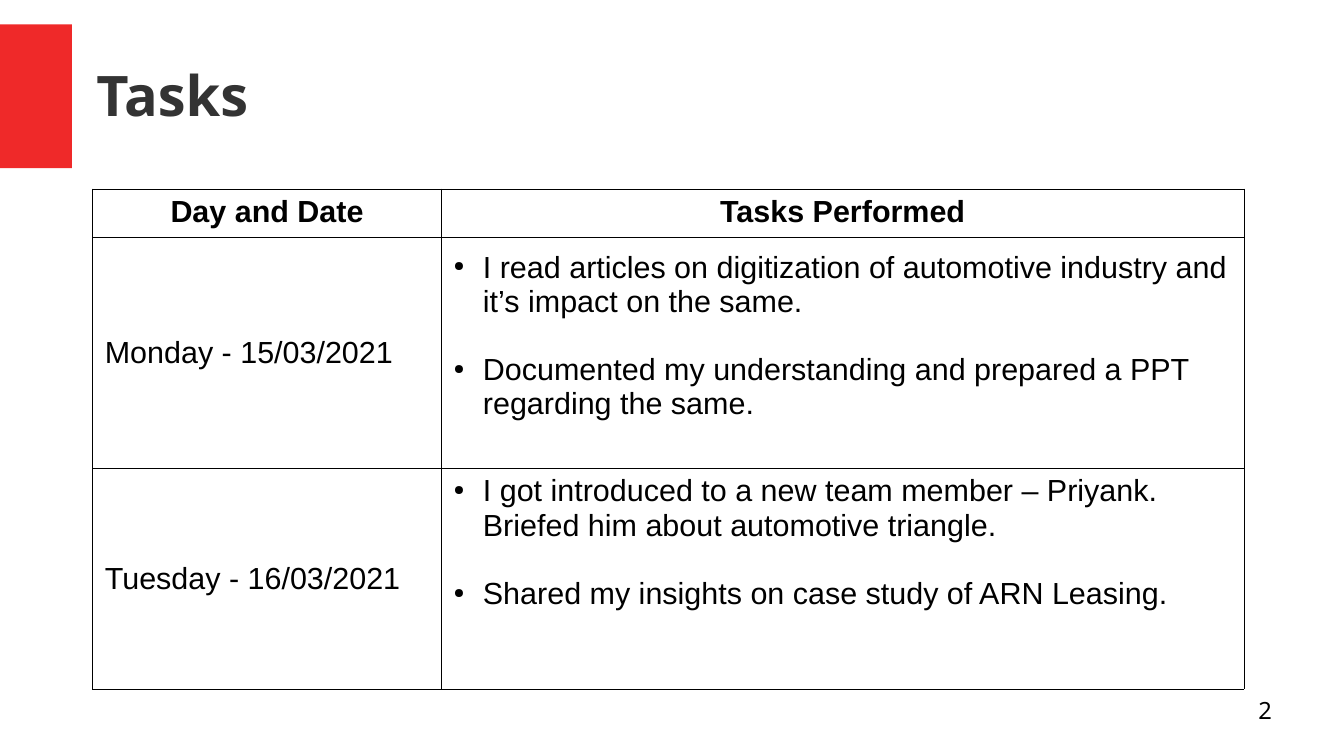
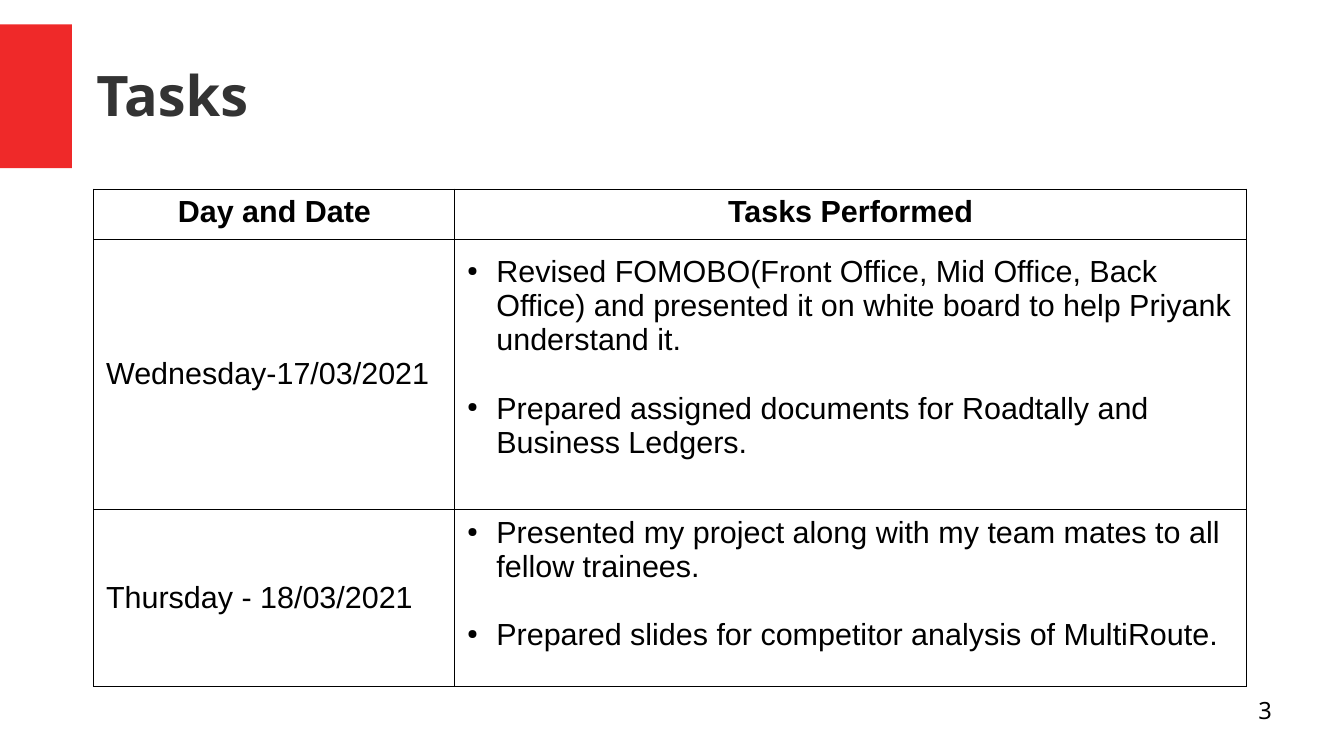
import lxml.etree
import pptx
import pptx.dml.color
import pptx.enum.shapes
import pptx.enum.text
import pptx.oxml.ns
import pptx.util

RED = pptx.dml.color.RGBColor(0xEF, 0x29, 0x29)
CHARCOAL = pptx.dml.color.RGBColor(0x33, 0x33, 0x33)
BLACK = pptx.dml.color.RGBColor(0, 0, 0)
WHITE = pptx.dml.color.RGBColor(0xFF, 0xFF, 0xFF)

Inches = pptx.util.Inches
Pt = pptx.util.Pt
ALIGN = pptx.enum.text.PP_ALIGN
ANCHOR = pptx.enum.text.MSO_ANCHOR

SLIDE_SIZE = (11.02, 6.2)
TITLE = "Tasks"
HEADINGS = ["Day and Date", "Tasks Performed"]
TABLE_TOP = 1.55
CELL_INSETS = (0.1, 0.05, 0.1, 0.05)
LINE_HEIGHT = 0.28
BULLET_INDENT = 0.24

DAY_SLIDES = [
    {
        "number": 2,
        "left": 0.76,
        "columns": [2.86, 6.58],
        "rows": [0.4, 1.89, 1.81],
        "days": [
            ("Monday - 15/03/2021", [
                "I read articles on digitization of automotive industry and it’s impact on the same.",
                "Documented my understanding and prepared a PPT regarding the same.",
            ]),
            ("Tuesday - 16/03/2021", [
                "I got introduced to a new team member – Priyank. Briefed him about automotive triangle.",
                "Shared my insights on case study of ARN Leasing.",
            ]),
        ],
    },
    {
        "number": 3,
        "left": 0.77,
        "columns": [2.96, 6.49],
        "rows": [0.41, 2.22, 1.45],
        "days": [
            ("Wednesday-17/03/2021", [
                "Revised FOMOBO(Front Office, Mid Office, Back Office) and presented it on white board to help Priyank understand it.",
                "Prepared assigned documents for Roadtally and Business Ledgers.",
            ]),
            ("Thursday - 18/03/2021", [
                "Presented my project along with my team mates to all fellow trainees.",
                "Prepared slides for competitor analysis of MultiRoute.",
            ]),
        ],
    },
]


def add_xml(parent, tag, **attributes):
    return lxml.etree.SubElement(parent, pptx.oxml.ns.qn(tag), attributes)


def style_paragraph(paragraph, size, name, color, bold=False, align=ALIGN.LEFT):
    paragraph.alignment = align
    paragraph.font.size = Pt(size)
    paragraph.font.name = name
    paragraph.font.color.rgb = color
    paragraph.font.bold = bold


def set_insets(target, insets):
    sides = ("margin_left", "margin_top", "margin_right", "margin_bottom")
    for side, inset in zip(sides, insets):
        setattr(target, side, Inches(inset))


def add_text(slide, text, box, anchor, **style):
    frame = slide.shapes.add_textbox(*map(Inches, box)).text_frame
    frame.word_wrap = True
    frame.vertical_anchor = anchor
    set_insets(frame, (0, 0, 0, 0))
    frame.text = text
    style_paragraph(frame.paragraphs[0], **style)


def add_frame(slide, number):
    band = slide.shapes.add_shape(
        pptx.enum.shapes.MSO_SHAPE.RECTANGLE, *map(Inches, (0, 0.2, 0.59, 1.18)))
    band.shadow.inherit = False
    band.fill.solid()
    band.fill.fore_color.rgb = RED
    band.line.fill.background()
    add_text(slide, TITLE, (0.79, 0.25, 9.68, 1.04), ANCHOR.MIDDLE,
             size=33, name="Noto Sans", color=CHARCOAL, bold=True)
    add_text(slide, str(number), (7.87, 5.71, 2.56, 0.43), ANCHOR.TOP,
             size=14, name="Noto Sans", color=BLACK, align=ALIGN.RIGHT)


def add_bullet(paragraph):
    properties = paragraph._p.get_or_add_pPr()
    properties.set("marL", str(Inches(BULLET_INDENT)))
    properties.set("indent", str(-Inches(BULLET_INDENT)))
    font_defaults = properties.find(pptx.oxml.ns.qn("a:defRPr"))
    bullet_color = add_xml(properties, "a:buClr")
    add_xml(bullet_color, "a:srgbClr", val=str(BLACK))
    bullet_size = add_xml(properties, "a:buSzPct", val="45000")
    bullet_mark = add_xml(properties, "a:buChar", char="●")
    for element in (bullet_color, bullet_size, bullet_mark):
        font_defaults.addprevious(element)


def add_borders(cell):
    properties = cell._tc.get_or_add_tcPr()
    for side in ("a:lnL", "a:lnR", "a:lnT", "a:lnB"):
        line = add_xml(properties, side, w=str(Pt(0.57)))
        add_xml(add_xml(line, "a:solidFill"), "a:srgbClr", val=str(BLACK))


def fill_cell(cell, texts, anchor, bold=False, align=ALIGN.LEFT, bullets=False):
    add_borders(cell)
    cell.fill.solid()
    cell.fill.fore_color.rgb = WHITE
    cell.vertical_anchor = anchor
    set_insets(cell, CELL_INSETS)
    cell.text = "\n".join(texts)
    for paragraph in cell.text_frame.paragraphs:
        style_paragraph(paragraph, 18, "Arial", BLACK, bold, align)
        if bullets:
            add_bullet(paragraph)
    for paragraph in cell.text_frame.paragraphs[:-1]:
        paragraph.space_after = Inches(LINE_HEIGHT)


def add_task_table(slide, content):
    columns, rows = content["columns"], content["rows"]
    box = (content["left"], TABLE_TOP, sum(columns), sum(rows))
    table = slide.shapes.add_table(len(rows), len(columns), *map(Inches, box)).table
    table.first_row = table.horz_banding = False
    for column, width in zip(table.columns, columns):
        column.width = Inches(width)
    for row, height in zip(table.rows, rows):
        row.height = Inches(height)
    for index, heading in enumerate(HEADINGS):
        fill_cell(table.cell(0, index), [heading], ANCHOR.TOP, True, ALIGN.CENTER)
    for index, (day, tasks) in enumerate(content["days"], 1):
        fill_cell(table.cell(index, 0), [day], ANCHOR.MIDDLE)
        anchor = ANCHOR.MIDDLE if index == 1 else ANCHOR.TOP
        fill_cell(table.cell(index, 1), tasks, anchor, bullets=True)
    table.cell(1, 1).margin_bottom = Inches(CELL_INSETS[3] + LINE_HEIGHT)


def main():
    presentation = pptx.Presentation()
    presentation.slide_width, presentation.slide_height = map(Inches, SLIDE_SIZE)
    for content in DAY_SLIDES:
        slide = presentation.slides.add_slide(presentation.slide_layouts[6])
        add_frame(slide, content["number"])
        add_task_table(slide, content)
    presentation.save("out.pptx")


if __name__ == "__main__":
    main()
